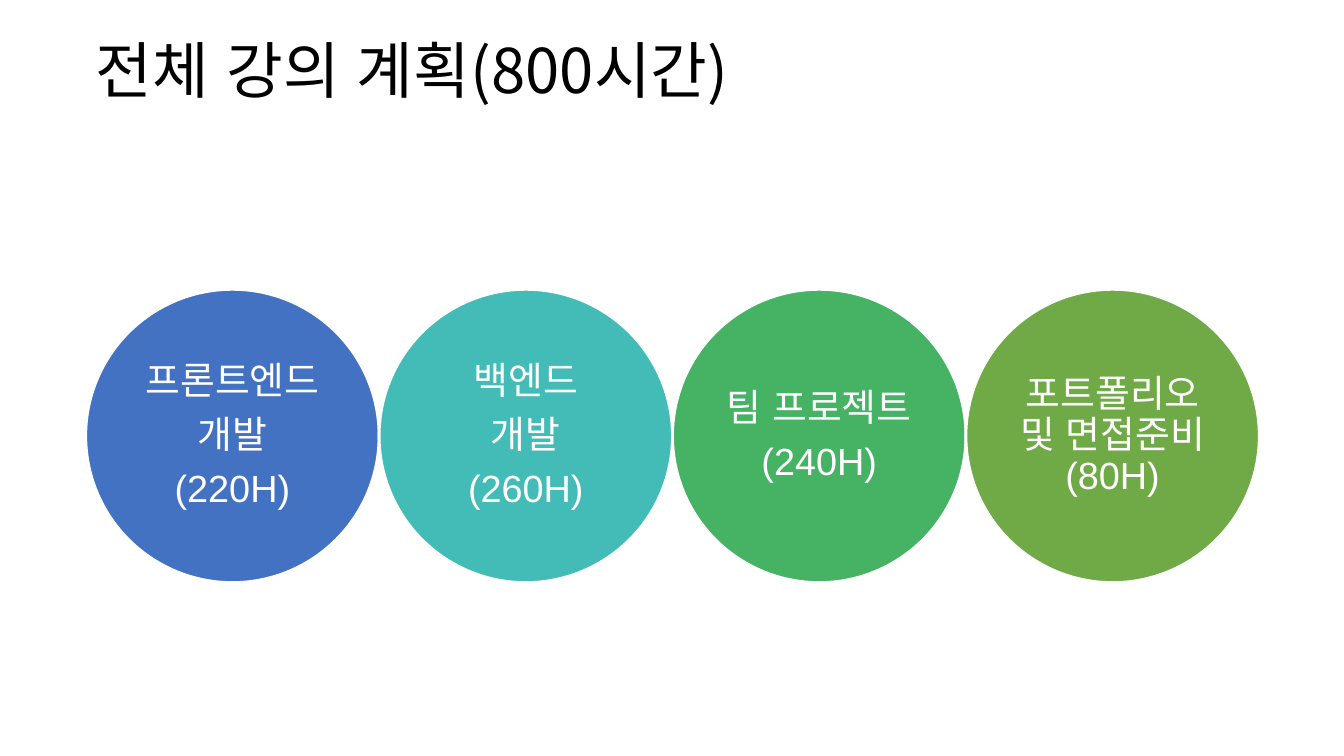
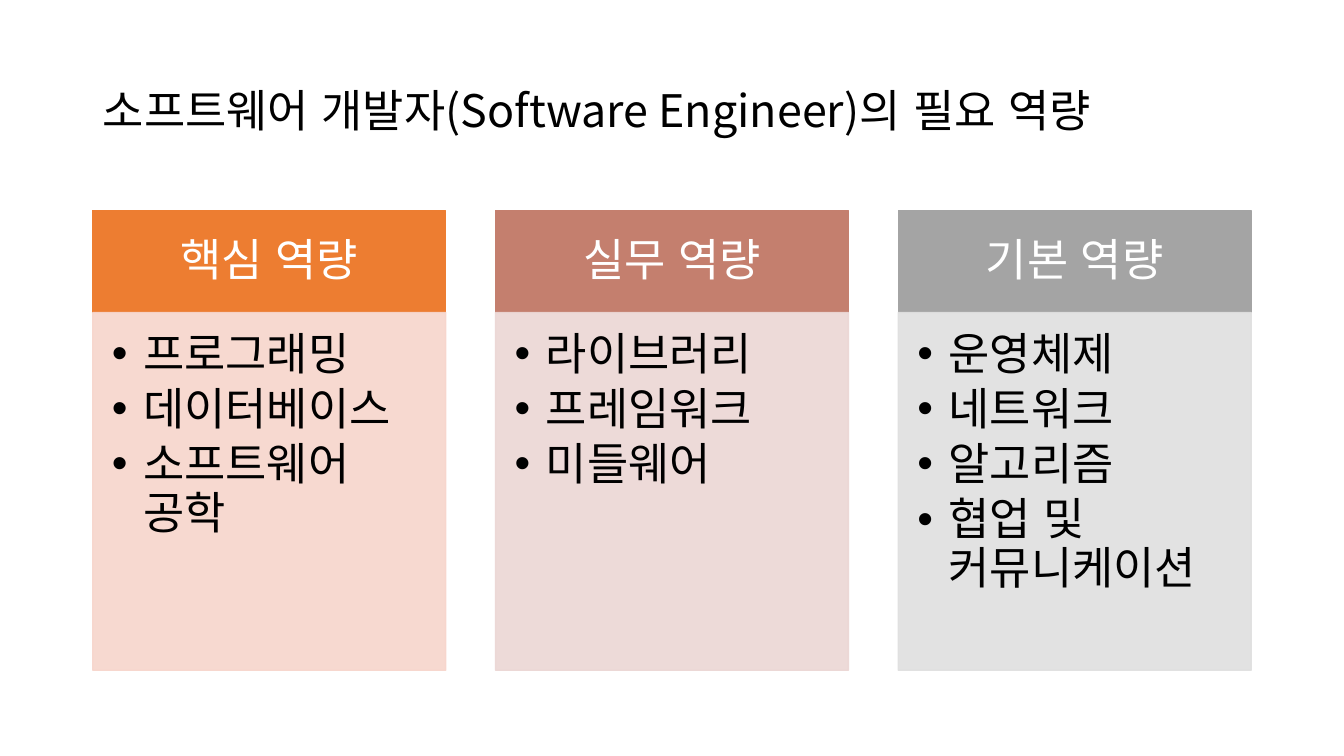
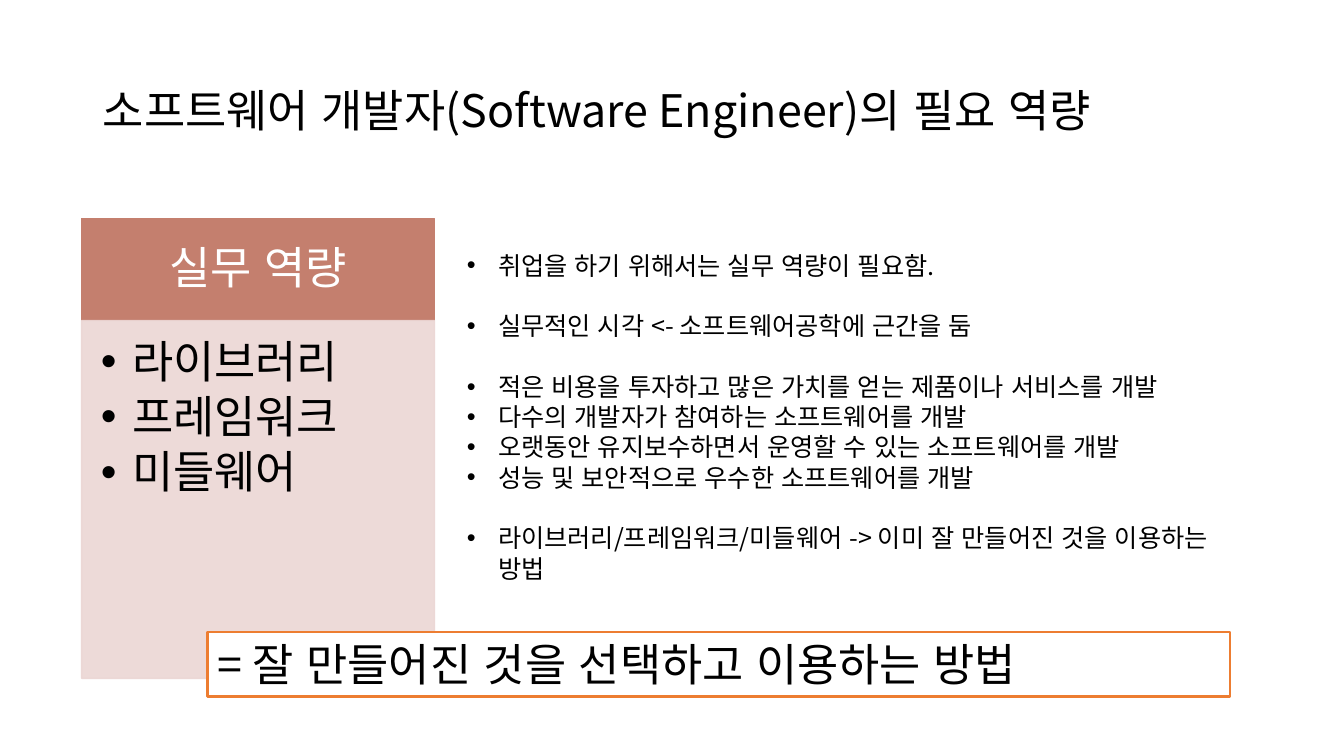
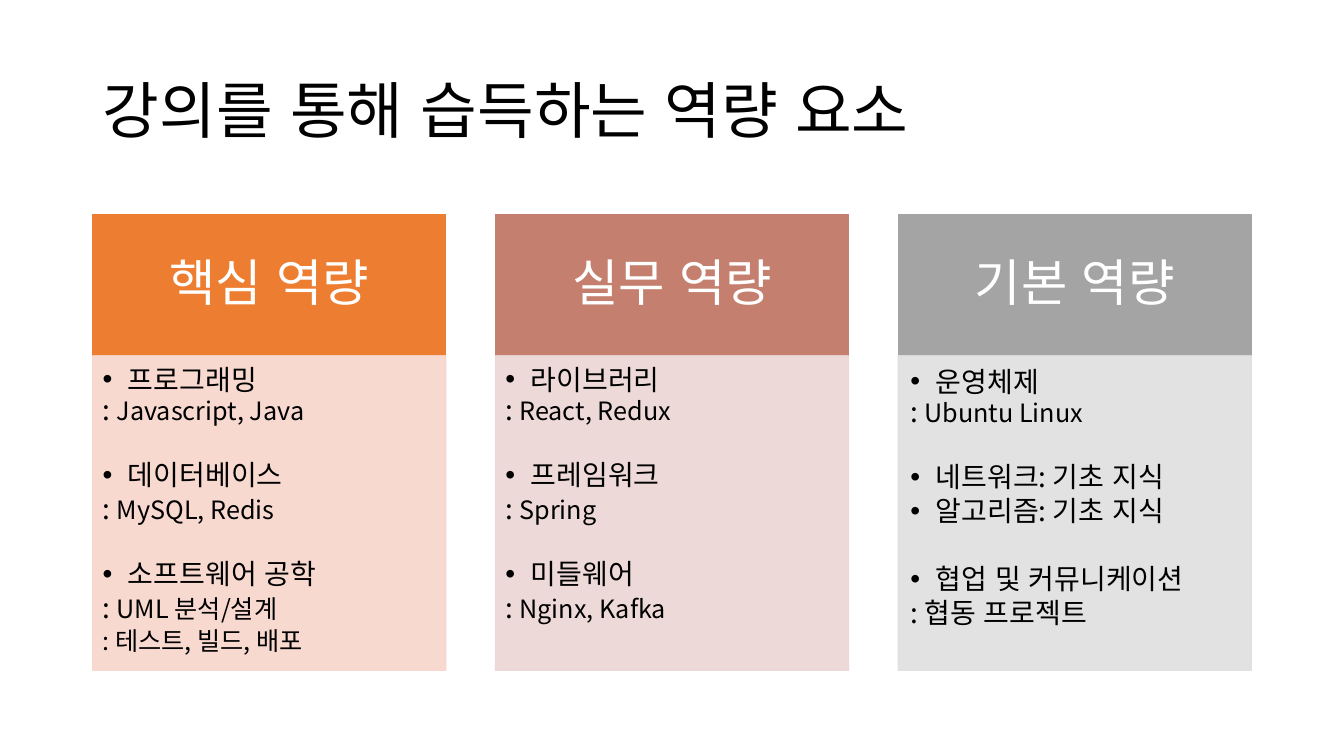
from dataclasses import dataclass

from lxml.etree import SubElement
from pptx import Presentation
from pptx.dml.color import RGBColor
from pptx.enum.lang import MSO_LANGUAGE_ID
from pptx.enum.shapes import MSO_SHAPE
from pptx.enum.text import MSO_ANCHOR, MSO_AUTO_SIZE, PP_ALIGN
from pptx.oxml.ns import qn
from pptx.util import Inches, Pt

KOREAN_FONT = "Noto Sans CJK KR"
LATIN_FONT = "Arial"
BLACK = "000000"
WHITE = "FFFFFF"
ORANGE = "ED7D31"
TITLE_ONLY, TITLE_AND_CONTENT = 5, 1
TITLE_BOX = (0.92, 0.4, 11.5, 1.45)
COLUMN_LEFT, COLUMN_WIDTH, COLUMN_PITCH = 0.92, 3.52, 3.995
COLUMN_WIDTH = 3.5
DEFAULT_INSETS = (0.1, 0.05, 0.1, 0.05)


@dataclass
class Line:
    """One paragraph: its runs as (text, size), its indent and space before."""
    runs: list
    indent: float = 0
    before: float = 0


@dataclass
class Skill:
    """One skill area: its heading, header colour, body colour and topics."""
    name: str
    header: str
    body: str
    topics: list


@dataclass
class ColumnStyle:
    """Sizes of a skill column."""
    header_height: float
    body_height: float
    heading_size: int
    header_insets: tuple


CORE = Skill("핵심 역량", ORANGE, "F7D5CB", ["프로그래밍", "데이터베이스", "소프트웨어 공학"])
PRACTICE = Skill("실무 역량", "C47F6E", "EBD6D4", ["라이브러리", "프레임워크", "미들웨어"])
BASIC = Skill("기본 역량", "A4A4A4", "DFDFDF",
              ["운영체제", "네트워크", "알고리즘", "협업 및 커뮤니케이션"])
SKILLS = [CORE, PRACTICE, BASIC]
TOPIC_STYLE = ColumnStyle(1.01, 3.55, 32, (0.25, 0.14, 0.25, 0.14))
DETAIL_STYLE = ColumnStyle(1.4, 3.12, 36, (0.28, 0.16, 0.28, 0.16))
TOPIC_INSETS = (0.19, 0.19, 0.25, 0.28)


def color(hex_code):
    """Turn a hex string into a colour."""
    return RGBColor.from_string(hex_code)


def add_bullet(paragraph, indent):
    """Give a paragraph a round bullet with a hanging indent."""
    properties = paragraph._p.get_or_add_pPr()
    properties.set("marL", str(Inches(indent)))
    properties.set("indent", str(-Inches(indent)))
    bullet_color = SubElement(properties, qn("a:buClr"))
    SubElement(bullet_color, qn("a:srgbClr"), val=BLACK)
    SubElement(properties, qn("a:buFont"), typeface=LATIN_FONT)
    SubElement(properties, qn("a:buChar"), char="•")


def format_run(run, size, text_color, font_name):
    """Set the font, size and colour of a run."""
    run.font.size = Pt(size)
    run.font.name = font_name
    run.font.language_id = MSO_LANGUAGE_ID.KOREAN
    run.font.color.rgb = color(text_color)
    latin = run._r.get_or_add_rPr().find(qn("a:latin"))
    east_asian = SubElement(run._r.rPr, qn("a:ea"), typeface=KOREAN_FONT)
    latin.addnext(east_asian)


def fill_text(shape, lines, text_color=BLACK, font_name=KOREAN_FONT, align=PP_ALIGN.LEFT,
              anchor=MSO_ANCHOR.TOP, insets=DEFAULT_INSETS, spacing=0.9):
    """Write lines into a shape and format them."""
    frame = shape.text_frame
    frame.word_wrap = True
    frame.auto_size = MSO_AUTO_SIZE.NONE
    frame.vertical_anchor = anchor
    (frame.margin_left, frame.margin_top,
     frame.margin_right, frame.margin_bottom) = map(Inches, insets)
    for index, line in enumerate(lines):
        paragraph = frame.add_paragraph() if index else frame.paragraphs[0]
        if line.indent:
            add_bullet(paragraph, line.indent)
        paragraph.alignment = align
        paragraph.line_spacing = spacing
        paragraph.space_before = Pt(line.before)
        for text, size in line.runs:
            run = paragraph.add_run()
            run.text = text
            format_run(run, size, text_color, font_name)


def place(shape, box):
    """Move and size a shape to a box in inches."""
    shape.left, shape.top, shape.width, shape.height = map(Inches, box)


def add_panel(slide, kind, box, fill_color, line_color, line_width, opacity=100):
    """Add a filled shape with an outline and no shadow."""
    shape = slide.shapes.add_shape(kind, *map(Inches, box))
    shape.shadow.inherit = False
    shape.fill.solid()
    shape.fill.fore_color.rgb = color(fill_color)
    shape.line.color.rgb = color(line_color)
    shape.line.width = Pt(line_width)
    if opacity < 100:
        for element in shape._element.spPr.iter(qn("a:srgbClr")):
            SubElement(element, qn("a:alpha"), val=str(opacity * 1000))
    return shape


def add_titled_slide(presentation, title, size, layout=TITLE_ONLY, box=TITLE_BOX):
    """Add a slide with its title."""
    slide = presentation.slides.add_slide(presentation.slide_layouts[layout])
    place(slide.shapes.title, box)
    fill_text(slide.shapes.title, [Line([(title, size)])], anchor=MSO_ANCHOR.MIDDLE)
    return slide


def add_skill_column(slide, left, top, skill, style, lines, insets):
    """Add a skill header with its list below."""
    header = add_panel(slide, MSO_SHAPE.RECTANGLE,
                       (left, top, COLUMN_WIDTH, style.header_height),
                       skill.header, skill.header, 1)
    fill_text(header, [Line([(skill.name, style.heading_size)])], WHITE,
              align=PP_ALIGN.CENTER, anchor=MSO_ANCHOR.MIDDLE, insets=style.header_insets)
    body = add_panel(slide, MSO_SHAPE.RECTANGLE,
                     (left, top + style.header_height, COLUMN_WIDTH, style.body_height),
                     skill.body, skill.body, 1, opacity=89)
    fill_text(body, lines, insets=insets)


def topic_lines(skill):
    """List the topics of a skill as large bullets."""
    return [Line([(topic, 32)], 0.31, 4.8 if index else 0)
            for index, topic in enumerate(skill.topics)]


def topic(text, before=25):
    """Make a bulleted topic line."""
    return Line([(text, 20)], 0.25, before)


def detail(text, before=2.7, size=18, colon_size=20):
    """Make a detail line that opens with a colon."""
    return Line([(": ", colon_size), (text, size)], before=before)


def build_plan_slide(presentation):
    """Build the course plan with its row of circles."""
    slide = add_titled_slide(presentation, "전체 강의 계획(800시간)", 44,
                             box=(0.85, 0, 11.5, 1.45))
    stages = [
        ("4372C3", ["프론트엔드", "개발", "(220H)"], 9.4),
        ("43BCB8", ["백엔드", "개발", "(260H)"], 9.4),
        ("45B363", ["팀 프로젝트", "(240H)"], 9.4),
        ("6FAA47", ["포트폴리오 및 면접준비", "(80H)"], 0),
    ]
    diameter = 2.91
    for index, (fill_color, texts, gap) in enumerate(stages):
        circle = add_panel(slide, MSO_SHAPE.OVAL,
                           (0.85 + index * diameter, 2.87, diameter, diameter),
                           fill_color, WHITE, 2)
        lines = [Line([(text, 27)], before=gap if row else 0)
                 for row, text in enumerate(texts)]
        fill_text(circle, lines, WHITE, LATIN_FONT, PP_ALIGN.CENTER,
                  MSO_ANCHOR.MIDDLE, (0, 0, 0, 0))


def build_skills_slide(presentation, title):
    """Build the three skill areas with their topics."""
    slide = add_titled_slide(presentation, title, 32)
    for index, skill in enumerate(SKILLS):
        add_skill_column(slide, COLUMN_LEFT + index * COLUMN_PITCH, 2.09, skill,
                         TOPIC_STYLE, topic_lines(skill), TOPIC_INSETS)


def build_practice_slide(presentation, title):
    """Build the practical skills with reasons and a conclusion."""
    slide = add_titled_slide(presentation, title, 32, TITLE_AND_CONTENT)
    add_skill_column(slide, 0.81, 2.17, PRACTICE, TOPIC_STYLE,
                     topic_lines(PRACTICE), TOPIC_INSETS)
    groups = [
        ["취업을 하기 위해서는 실무 역량이 필요함."],
        ["실무적인 시각 <- 소프트웨어공학에 근간을 둠"],
        ["적은 비용을 투자하고 많은 가치를 얻는 제품이나 서비스를 개발",
         "다수의 개발자가 참여하는 소프트웨어를 개발",
         "오랫동안 유지보수하면서 운영할 수 있는 소프트웨어를 개발",
         "성능 및 보안적으로 우수한 소프트웨어를 개발"],
        ["라이브러리/프레임워크/미들웨어 -> 이미 잘 만들어진 것을 이용하는 방법"],
    ]
    lines = [Line([(text, 18)], 0.31, 21.7 if number and not row else 0)
             for number, group in enumerate(groups) for row, text in enumerate(group)]
    reasons = slide.placeholders[1]
    place(reasons, (4.53, 2.43, 7.89, 3.43))
    fill_text(reasons, lines, spacing=1.0)
    conclusion = add_panel(slide, MSO_SHAPE.RECTANGLE, (2.06, 6.27, 10.14, 0.64),
                           WHITE, ORANGE, 2)
    fill_text(conclusion, [Line([("= 잘 만들어진 것을 선택하고 이용하는 방법", 32)])],
              spacing=1.0)


def build_details_slide(presentation):
    """Build the three skill areas with what the course covers."""
    slide = add_titled_slide(presentation, "강의를 통해 습득하는 역량 요소", 44)
    narrow, wide = (0.1, 0.1, 0.14, 0.16), (0.12, 0.12, 0.16, 0.17)
    columns = [
        ([topic("프로그래밍", 0), detail("Javascript, Java", 0),
          topic("데이터베이스"), detail("MySQL, Redis"),
          topic("소프트웨어 공학"), detail("UML 분석/설계"),
          detail("테스트, 빌드, 배포", colon_size=18)], narrow),
        ([topic("라이브러리", 0), detail("React, Redux", 0),
          topic("프레임워크"), detail("Spring"),
          topic("미들웨어"), detail("Nginx, Kafka")], narrow),
        ([topic("운영체제", 0), detail("Ubuntu Linux", 0),
          topic("네트워크: 기초 지식"), topic("알고리즘: 기초 지식", 2.7),
          topic("협업 및 커뮤니케이션", 27), detail("협동 프로젝트", size=20)], wide),
    ]
    for index, (skill, (lines, insets)) in enumerate(zip(SKILLS, columns)):
        add_skill_column(slide, COLUMN_LEFT + index * COLUMN_PITCH, 2.13, skill,
                         DETAIL_STYLE, lines, insets)


def main():
    """Build and save the presentation."""
    presentation = Presentation()
    presentation.slide_width = Inches(13.33)
    presentation.slide_height = Inches(7.5)
    skills_title = "소프트웨어 개발자(Software Engineer)의 필요 역량"
    build_plan_slide(presentation)
    build_skills_slide(presentation, skills_title)
    build_practice_slide(presentation, skills_title)
    build_details_slide(presentation)
    presentation.save("out.pptx")


if __name__ == "__main__":
    main()
